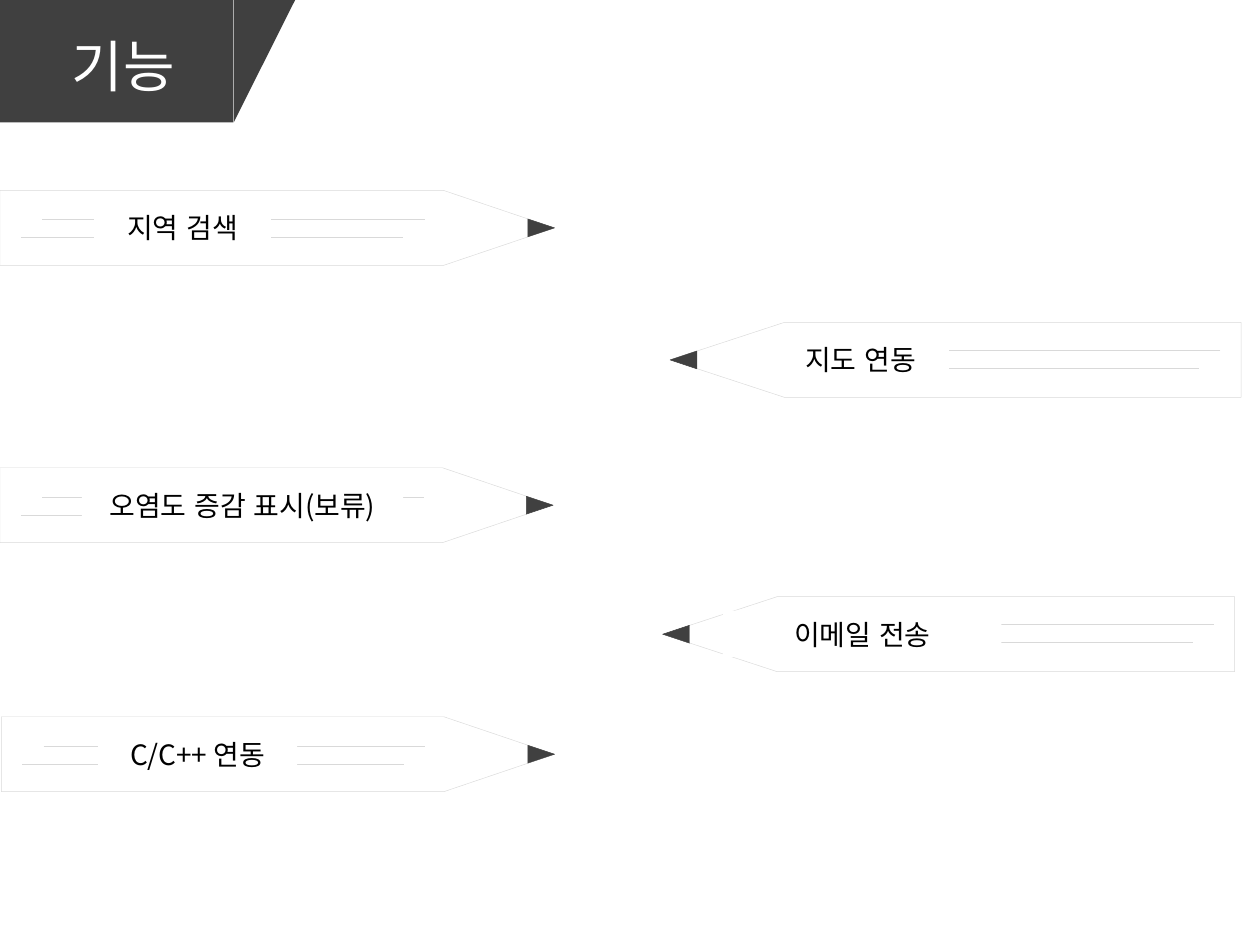
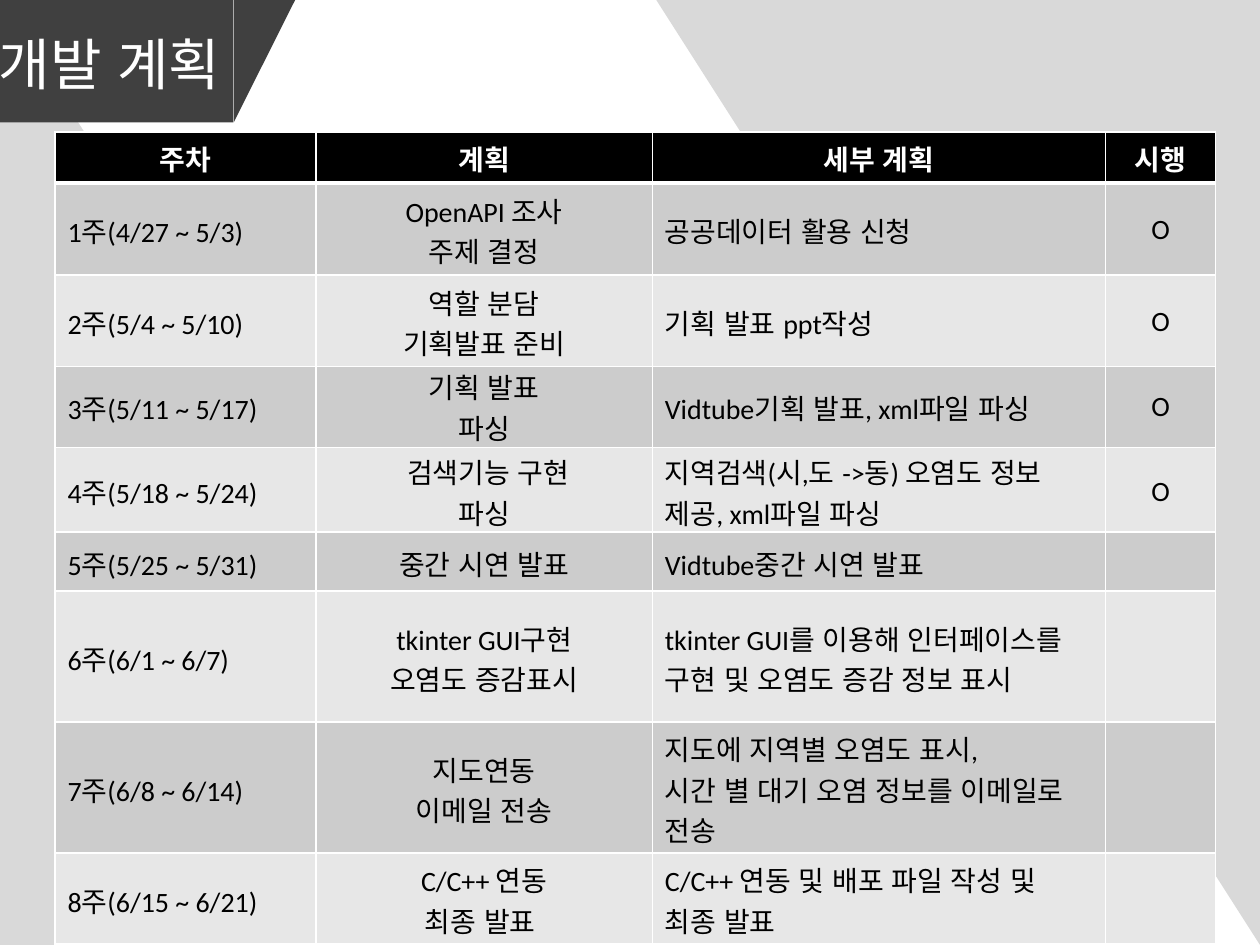
from dataclasses import dataclass

from lxml import etree
from pptx import Presentation
from pptx import util as u
from pptx.dml.color import RGBColor
from pptx.enum import lang, shapes, text
from pptx.oxml import ns

Cm, Pt = u.Cm, u.Pt


@dataclass(frozen=True)
class Theme:
    """Colours, fonts and type sizes that the slides share."""
    dark: str = "404040"
    rule: str = "D9D9D9"
    white: str = "FFFFFF"
    black: str = "000000"
    bands: tuple = ("CCCCCC", "E7E7E7")
    korean: str = "Noto Sans CJK KR"
    latin: str = "Calibri"
    title_size: int = 32
    body_size: int = 16
    hairline: float = 0.25


THEME = Theme()
SLIDE_WIDTH, SLIDE_HEIGHT = 25.4, 19.05

FEATURES = [
    ("지역 검색", (0, 3.84, 11.18), True, (1.9, 3.56)),
    ("지도 연동", (13.51, 6.5, 11.51), False, (15.57, 3.56)),
    ("오염도 증감 표시(보류)", (0, 9.43, 11.15), True, (1.65, 6.48)),
    ("이메일 전송", (13.36, 12.03, 11.53), False, (14.58, 5.61)),
    ("C/C++ 연동", (0.03, 14.45, 11.15), True, (1.98, 4.01)),
]

COLUMN_WIDTHS = [5.26, 6.78, 9.14, 2.21]
ROW_HEIGHTS = [1.03, 1.85, 1.85, 1.61, 1.71, 1.19, 2.64, 2.64, 1.83]
CELL_MARGINS = (0.13, 0.07)
TIGHT_MARGINS = {3: (0, 0), 4: (0.08, 0)}
SCHEDULE = [
    ("주차", "계획", "세부 계획", "시행"),
    ("1주(4/27 ~ 5/3)", "OpenAPI 조사\n주제 결정", "공공데이터 활용 신청", "O"),
    ("2주(5/4 ~ 5/10)", "역할 분담\n기획발표 준비", "기획 발표 ppt작성", "O"),
    ("3주(5/11 ~ 5/17)", "기획 발표\n파싱", "Vidtube기획 발표, xml파일 파싱", "O"),
    ("4주(5/18 ~ 5/24)", " 검색기능 구현\n파싱",
     "지역검색(시,도 ->동) 오염도 정보 제공, xml파일 파싱", "O"),
    ("5주(5/25 ~ 5/31)", "중간 시연 발표", "Vidtube중간 시연 발표", ""),
    ("6주(6/1 ~ 6/7)", "tkinter GUI구현\n오염도 증감표시",
     "tkinter GUI를 이용해 인터페이스를 구현 및 오염도 증감 정보 표시", ""),
    ("7주(6/8 ~ 6/14)", "지도연동\n이메일 전송",
     "지도에 지역별 오염도 표시,\n시간 별 대기 오염 정보를 이메일로 전송", ""),
    ("8주(6/15 ~ 6/21)", "C/C++ 연동\n최종 발표 ",
     "C/C++ 연동 및 배포 파일 작성 및 최종 발표", ""),
]


def paint(shape, fill, line=None):
    """Give a shape a flat fill and an optional hairline."""
    shape.shadow.inherit = False
    shape.fill.solid()
    shape.fill.fore_color.rgb = RGBColor.from_string(fill)
    if line:
        shape.line.color.rgb = RGBColor.from_string(line)
        shape.line.width = Pt(THEME.hairline)
    else:
        shape.line.fill.background()


def format_paragraph(paragraph, size, colour, align, font=THEME.korean, bold=False):
    """Set the font, language and alignment of a whole paragraph."""
    paragraph.alignment = align
    paragraph.font.name = font
    paragraph.font.size = Pt(size)
    paragraph.font.bold = bold
    paragraph.font.color.rgb = RGBColor.from_string(colour)
    for run in paragraph.runs:
        run.font.language_id = lang.MSO_LANGUAGE_ID.KOREAN
    latin = paragraph.font._element.find(ns.qn("a:latin"))
    latin.addnext(etree.Element(ns.qn("a:ea"), typeface=THEME.korean))


def add_triangle(slide, left, top, width, height, fill, rotation=0, apex=None, line=None):
    """Add a triangle that fills the given box after its rotation."""
    if rotation % 180:
        left, top = left + (width - height) / 2, top + (height - width) / 2
        width, height = height, width
    shape = slide.shapes.add_shape(shapes.MSO_SHAPE.ISOSCELES_TRIANGLE,
                                   Cm(left), Cm(top), Cm(width), Cm(height))
    shape.rotation = rotation
    if apex is not None:
        shape.adjustments[0] = apex
    paint(shape, fill, line)


def add_rectangle(slide, left, top, width, height, fill):
    """Add a plain filled rectangle."""
    shape = slide.shapes.add_shape(shapes.MSO_SHAPE.RECTANGLE,
                                   Cm(left), Cm(top), Cm(width), Cm(height))
    paint(shape, fill)
    return shape


def add_rule(slide, start, end):
    """Add a hairline between two points."""
    connector = slide.shapes.add_connector(shapes.MSO_CONNECTOR.STRAIGHT,
                                           *map(Cm, start + end))
    connector.line.color.rgb = RGBColor.from_string(THEME.rule)
    connector.line.width = Pt(THEME.hairline)
    etree.SubElement(connector._element.spPr, ns.qn("a:effectLst"))


def add_banner(slide, title_text, title_left, title_top):
    """Draw the corner banner and set the title on top of it."""
    width, slant, height = 4.7, 1.24, 2.47
    add_rectangle(slide, 0, 0, width, height, THEME.dark)
    add_triangle(slide, width + 0.01, 0, slant, height, THEME.dark, rotation=90, apex=0)
    title = slide.shapes.title
    title.left, title.top = Cm(title_left), Cm(title_top)
    title.width, title.height = Cm(5.64), Cm(1.63)
    frame = title.text_frame
    frame.text = title_text
    frame.word_wrap = True
    frame.auto_size = text.MSO_AUTO_SIZE.NONE
    frame.vertical_anchor = text.MSO_ANCHOR.TOP
    format_paragraph(frame.paragraphs[0], THEME.title_size, THEME.white, text.PP_ALIGN.LEFT)
    title._element.getparent().append(title._element)


def add_pencil(slide, box, points_right):
    """Draw a pencil in a box, its tip to the right or turned half round."""
    left, top, length, height = box

    def place(along, across):
        """Turn fractions of the pencil into slide centimetres."""
        if not points_right:
            along, across = 1 - along, 1 - across
        return left + along * length, top + across * height

    outline = [place(*point) for point in ((0, 1), (0, 0), (0.8, 0), (1, 0.5), (0.8, 1))]
    corners = [(Cm(x), Cm(y)) for x, y in outline]
    builder = slide.shapes.build_freeform(*corners[0])
    builder.add_line_segments(corners[1:], close=True)
    paint(builder.convert_to_shape(), THEME.white, THEME.rule)

    lead_length, lead_height = 0.54, 0.36
    lead_left = left + length - lead_length if points_right else left
    add_triangle(slide, lead_left, top + (height - lead_height) / 2, lead_length, lead_height,
                 THEME.dark, rotation=90 if points_right else 270, line=THEME.dark)
    for inset, across in ((0.42, 0.63), (0.85, 0.39)):
        start = inset / length
        add_rule(slide, place(start, across), place(start + 0.69, across))


def add_label(slide, caption, left, top, width):
    """Add a white plate with a centred caption."""
    plate = add_rectangle(slide, left, top, width, 0.94, THEME.white)
    frame = plate.text_frame
    frame.text = caption
    frame.word_wrap = False
    format_paragraph(frame.paragraphs[0], THEME.body_size, THEME.black, text.PP_ALIGN.CENTER)


def underline_cell(cell, points):
    """Give a cell a white border along its bottom."""
    border = etree.Element(ns.qn("a:lnB"), w=str(Pt(points)))
    fill = etree.SubElement(border, ns.qn("a:solidFill"))
    etree.SubElement(fill, ns.qn("a:srgbClr"), val=THEME.white)
    cell._tc.get_or_add_tcPr().insert(0, border)


def add_schedule(slide, left, top):
    """Add the week-by-week table with banded rows."""
    frame = slide.shapes.add_table(len(SCHEDULE), len(COLUMN_WIDTHS), Cm(left), Cm(top),
                                   Cm(sum(COLUMN_WIDTHS)), Cm(sum(ROW_HEIGHTS)))
    table = frame.table
    for column, width in zip(table.columns, COLUMN_WIDTHS):
        column.width = Cm(width)
    for row, row_height in zip(table.rows, ROW_HEIGHTS):
        row.height = Cm(row_height)
    for row_index, values in enumerate(SCHEDULE):
        header = row_index == 0
        fill = THEME.black if header else THEME.bands[(row_index - 1) % 2]
        colour = THEME.white if header else THEME.black
        margins = TIGHT_MARGINS.get(row_index, CELL_MARGINS)
        for column_index, value in enumerate(values):
            cell = table.cell(row_index, column_index)
            cell.fill.solid()
            cell.fill.fore_color.rgb = RGBColor.from_string(fill)
            cell.margin_top, cell.margin_bottom = map(Cm, margins)
            cell.text = value
            if header:
                underline_cell(cell, 3)
            else:
                cell.vertical_anchor = text.MSO_ANCHOR.MIDDLE
            centred = header or column_index in (1, 3)
            align = text.PP_ALIGN.CENTER if centred else text.PP_ALIGN.LEFT
            for paragraph in cell.text_frame.paragraphs:
                format_paragraph(paragraph, THEME.body_size, colour, align,
                                 THEME.latin, bold=header)


def build_features(slide):
    """Build the slide of features written on pencils."""
    for caption, (left, top, length), points_right, (label_left, label_width) in FEATURES:
        add_pencil(slide, (left, top, length, 1.51), points_right)
        add_label(slide, caption, label_left, top + 0.28, label_width)
    add_banner(slide, "기능", 1.19, 0.51)


def build_plan(slide):
    """Build the slide of the development plan."""
    width = 12.17
    add_triangle(slide, SLIDE_WIDTH - width, 0, width, SLIDE_HEIGHT, THEME.rule,
                 rotation=180, apex=0)
    add_triangle(slide, 0, 0, width, SLIDE_HEIGHT, THEME.rule, apex=0)
    add_banner(slide, "개발 계획", -0.28, 0.46)
    add_schedule(slide, 1.11, 2.66)


def main():
    """Build and save the presentation."""
    presentation = Presentation()
    presentation.slide_width, presentation.slide_height = Cm(SLIDE_WIDTH), Cm(SLIDE_HEIGHT)
    title_only = presentation.slide_layouts[5]
    for build in (build_features, build_plan):
        build(presentation.slides.add_slide(title_only))
    presentation.save("out.pptx")


main()
